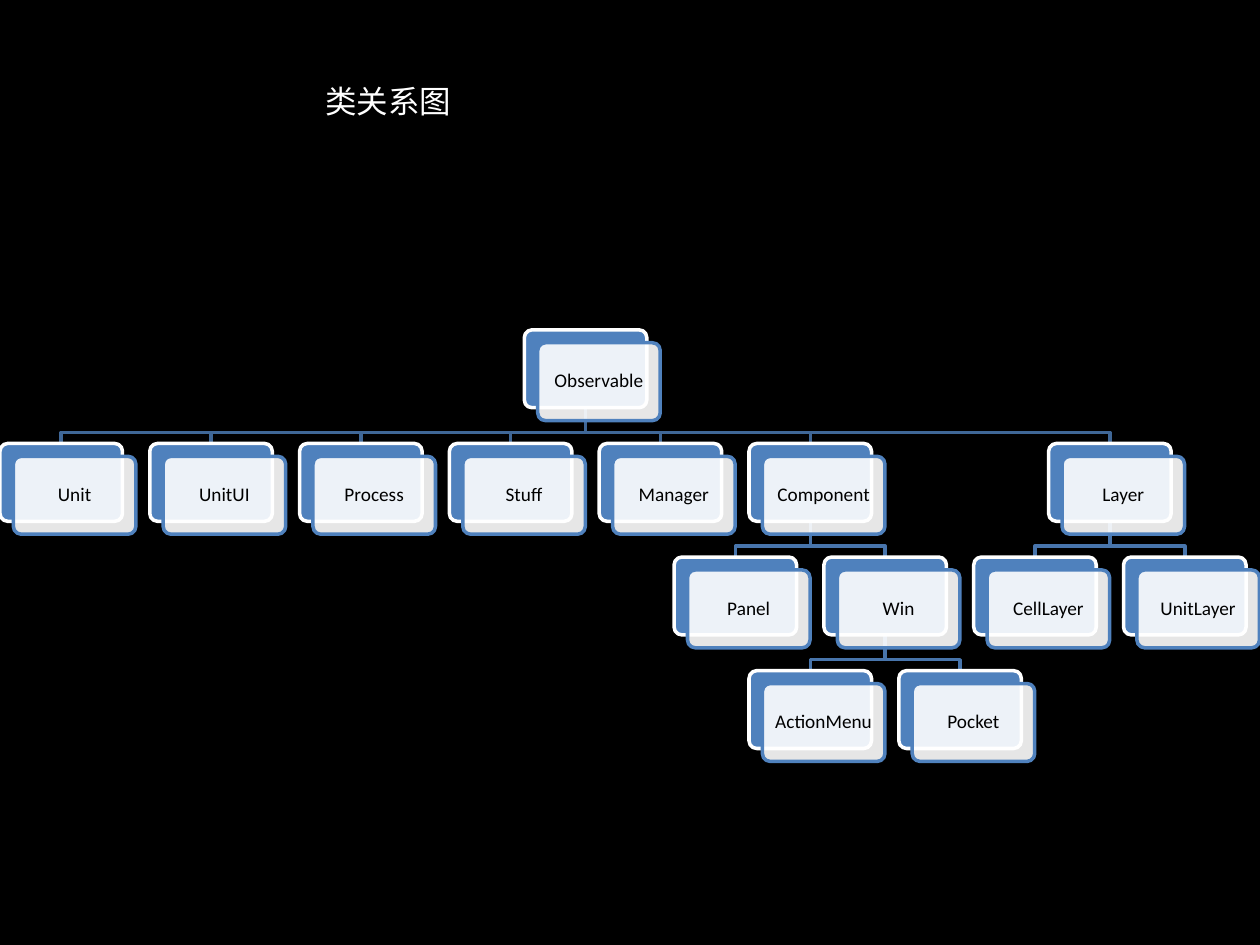
from dataclasses import dataclass
from typing import Iterator

from lxml.etree import SubElement
from pptx import Presentation
from pptx.dml.color import RGBColor
from pptx.enum.shapes import MSO_SHAPE
from pptx.enum.text import MSO_ANCHOR, MSO_AUTO_SIZE, PP_ALIGN
from pptx.oxml.ns import qn
from pptx.shapes.autoshape import Shape
from pptx.slide import Slide
from pptx.util import Cm, Pt


@dataclass(frozen=True)
class Theme:
    """Colours and type sizes of the slide."""
    background: RGBColor = RGBColor(0x00, 0x00, 0x00)
    light: RGBColor = RGBColor(0xFF, 0xFF, 0xFF)
    dark: RGBColor = RGBColor(0x00, 0x00, 0x00)
    accent: RGBColor = RGBColor(0x4F, 0x81, 0xBD)
    root_branch: RGBColor = RGBColor(0x3F, 0x67, 0x97)
    lower_branch: RGBColor = RGBColor(0x48, 0x75, 0xAC)
    font: str = "Calibri"
    title_size: Pt = Pt(18)
    label_size: Pt = Pt(11)
    line_width: Pt = Pt(2)


THEME = Theme()

# Lengths in centimetres
COLUMN_STEP, LEVEL_STEP = 3.02, 2.29
TREE_TOP = 6.65
CARD_WIDTH, CARD_HEIGHT = 2.47, 1.57
FRONT_SHIFT_X, FRONT_SHIFT_Y = 0.27, 0.26
TRUNK = 0.5
LABEL_INSET = 0.12


@dataclass(frozen=True)
class ClassNode:
    """A class; a leaf has its own column, a parent is centred over its children."""
    label: str
    leaf_column: float = 0
    children: tuple["ClassNode", ...] = ()

    @property
    def column(self) -> float:
        """Column of the node, in steps from the left edge."""
        if not self.children:
            return self.leaf_column
        return (self.children[0].column + self.children[-1].column) / 2

    @property
    def left(self) -> float:
        """Left edge of the back card in centimetres."""
        return self.column * COLUMN_STEP

    def walk(self, level: int = 0) -> Iterator[tuple["ClassNode", int]]:
        """Yield the node and all its descendants with their levels."""
        yield self, level
        for child in self.children:
            yield from child.walk(level + 1)


WIN = ClassNode("Win", children=(ClassNode("ActionMenu", 5), ClassNode("Pocket", 6)))
OBSERVABLE = ClassNode("Observable", children=(
    ClassNode("Unit", 0),
    ClassNode("UnitUI", 1),
    ClassNode("Process", 2),
    ClassNode("Stuff", 3),
    ClassNode("Manager", 4),
    ClassNode("Component", children=(ClassNode("Panel", 4.5), WIN)),
    ClassNode("Layer", children=(ClassNode("CellLayer", 6.5), ClassNode("UnitLayer", 7.5))),
))


def level_top(level: int) -> float:
    """Return the top of the back cards on a level in centimetres."""
    return TREE_TOP + level * LEVEL_STEP


def draw_branch(slide: Slide, parent: ClassNode, child: ClassNode, level: int) -> None:
    """Draw the elbow line from a parent on the level to one child."""
    start_x, end_x = (Cm(node.left + CARD_WIDTH / 2) for node in (parent, child))
    start_y = level_top(level) + CARD_HEIGHT
    bend_y = Cm(start_y + TRUNK)
    builder = slide.shapes.build_freeform(start_x, Cm(start_y))
    builder.add_line_segments(
        [(start_x, bend_y), (end_x, bend_y), (end_x, Cm(level_top(level + 1)))], close=False)
    branch = builder.convert_to_shape()
    branch.shadow.inherit = False
    branch.fill.background()
    branch.line.width = THEME.line_width
    branch.line.color.rgb = THEME.lower_branch if level else THEME.root_branch


def draw_card(slide: Slide, left: float, top: float, fill: RGBColor, outline: RGBColor) -> Shape:
    """Draw one rounded card."""
    card = slide.shapes.add_shape(
        MSO_SHAPE.ROUNDED_RECTANGLE, Cm(left), Cm(top), Cm(CARD_WIDTH), Cm(CARD_HEIGHT))
    card.adjustments[0] = 0.1
    card.shadow.inherit = False
    card.fill.solid()
    card.fill.fore_color.rgb = fill
    card.line.color.rgb = outline
    card.line.width = THEME.line_width
    return card


def set_opacity(card: Shape, percent: int) -> None:
    """Make the solid fill of a card partly transparent."""
    color = card.fill._xPr.find(qn("a:solidFill")).find(qn("a:srgbClr"))
    SubElement(color, qn("a:alpha")).set("val", str(percent * 1000))


def draw_node(slide: Slide, node: ClassNode, level: int) -> None:
    """Draw the back card and the labelled front card of a class."""
    top = level_top(level)
    draw_card(slide, node.left, top, THEME.accent, THEME.light)
    front = draw_card(slide, node.left + FRONT_SHIFT_X, top + FRONT_SHIFT_Y,
                      THEME.light, THEME.accent)
    set_opacity(front, 90)
    frame = front.text_frame
    frame.word_wrap = True
    frame.vertical_anchor = MSO_ANCHOR.MIDDLE
    frame.margin_left = frame.margin_right = Cm(LABEL_INSET)
    frame.margin_top = frame.margin_bottom = Cm(LABEL_INSET)
    label = frame.paragraphs[0]
    label.text = node.label
    label.alignment = PP_ALIGN.CENTER
    label.line_spacing = 0.9
    label.font.name = THEME.font
    label.font.size = THEME.label_size
    label.font.color.rgb = THEME.dark


def place_title(slide: Slide, text: str) -> None:
    """Move and format the title placeholder."""
    title = slide.shapes.title
    title.left, title.top, title.width, title.height = Cm(6.3), Cm(1.52), Cm(3.07), Cm(1.02)
    frame = title.text_frame
    frame.word_wrap = False
    frame.auto_size = MSO_AUTO_SIZE.SHAPE_TO_FIT_TEXT
    frame.vertical_anchor = MSO_ANCHOR.TOP
    heading = frame.paragraphs[0]
    heading.text = text
    heading.alignment = PP_ALIGN.LEFT
    heading.font.name = THEME.font
    heading.font.size = THEME.title_size
    heading.font.color.rgb = THEME.light


def main() -> None:
    """Build the class diagram slide."""
    presentation = Presentation()
    presentation.slide_width, presentation.slide_height = Cm(25.4), Cm(19.05)
    slide = presentation.slides.add_slide(presentation.slide_layouts[5])
    slide.background.fill.solid()
    slide.background.fill.fore_color.rgb = THEME.background
    place_title(slide, "类关系图")
    for node, level in OBSERVABLE.walk():
        for child in node.children:
            draw_branch(slide, node, child, level)
    for node, level in OBSERVABLE.walk():
        draw_node(slide, node, level)
    presentation.save("out.pptx")


main()
